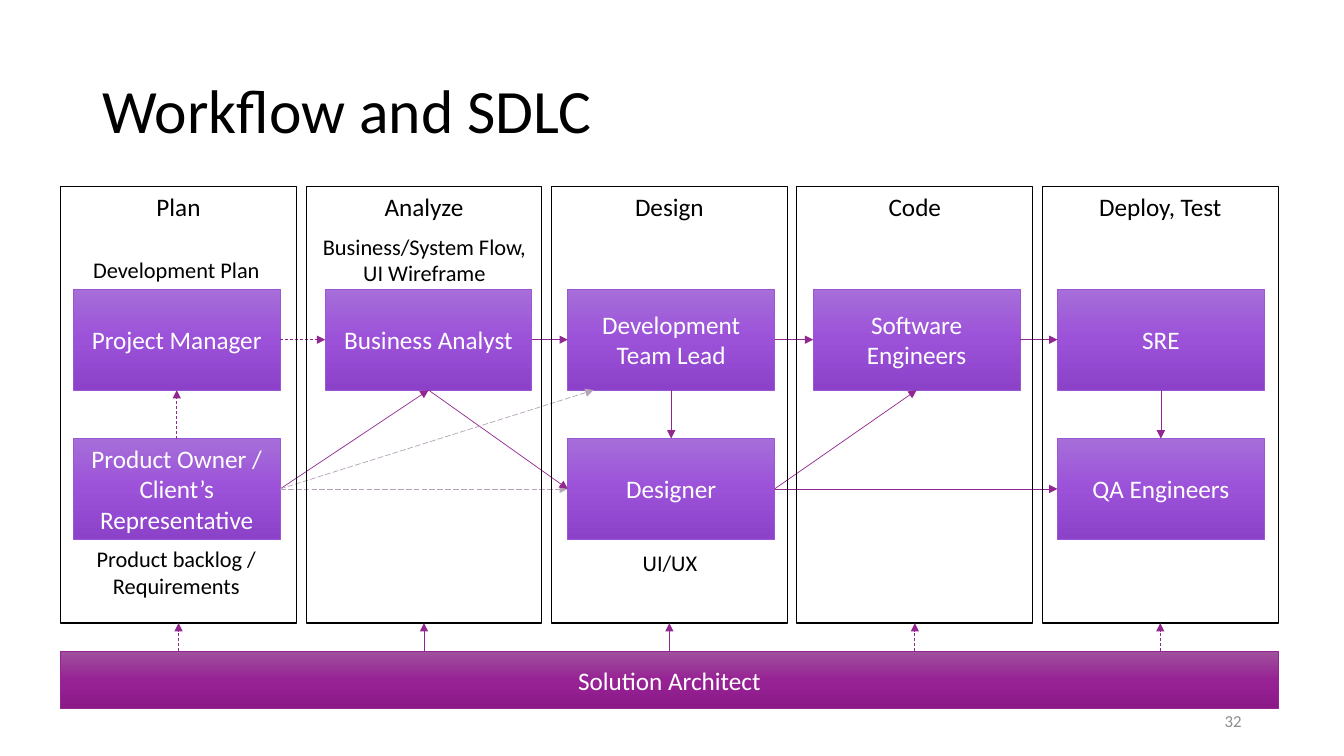
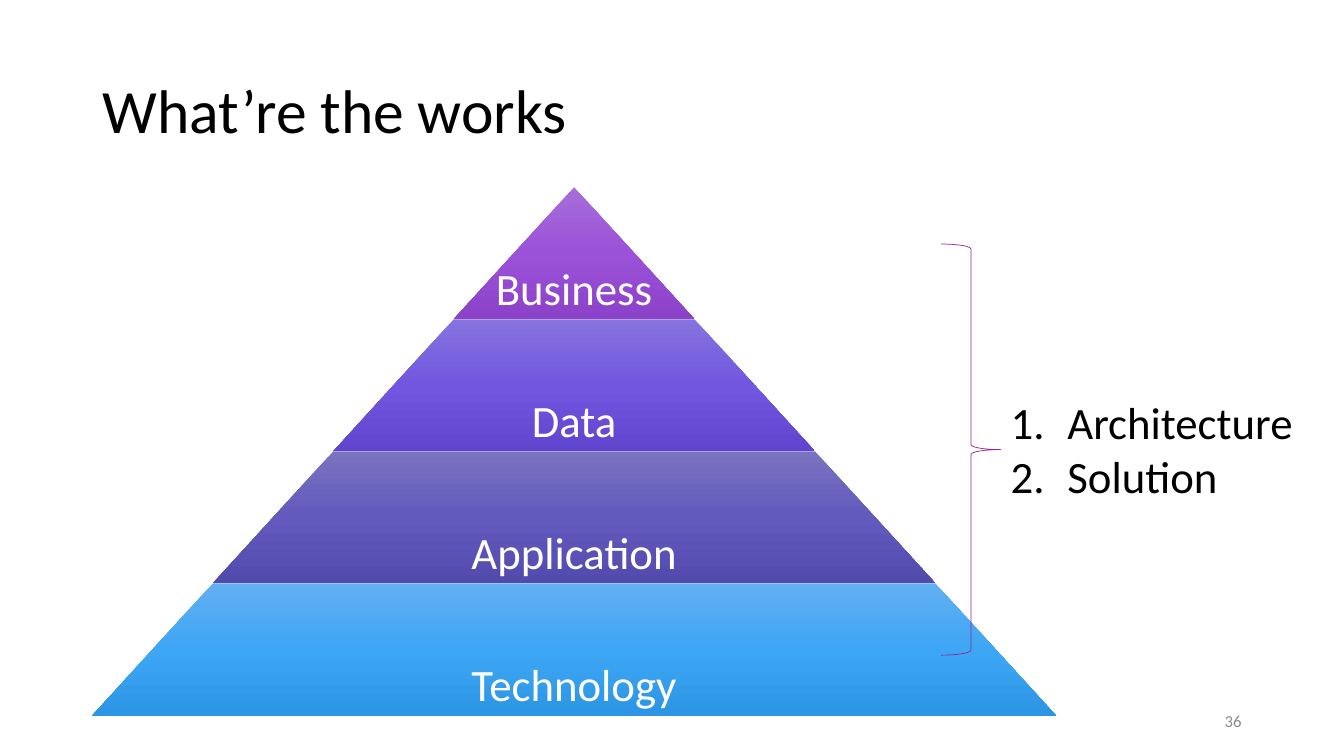
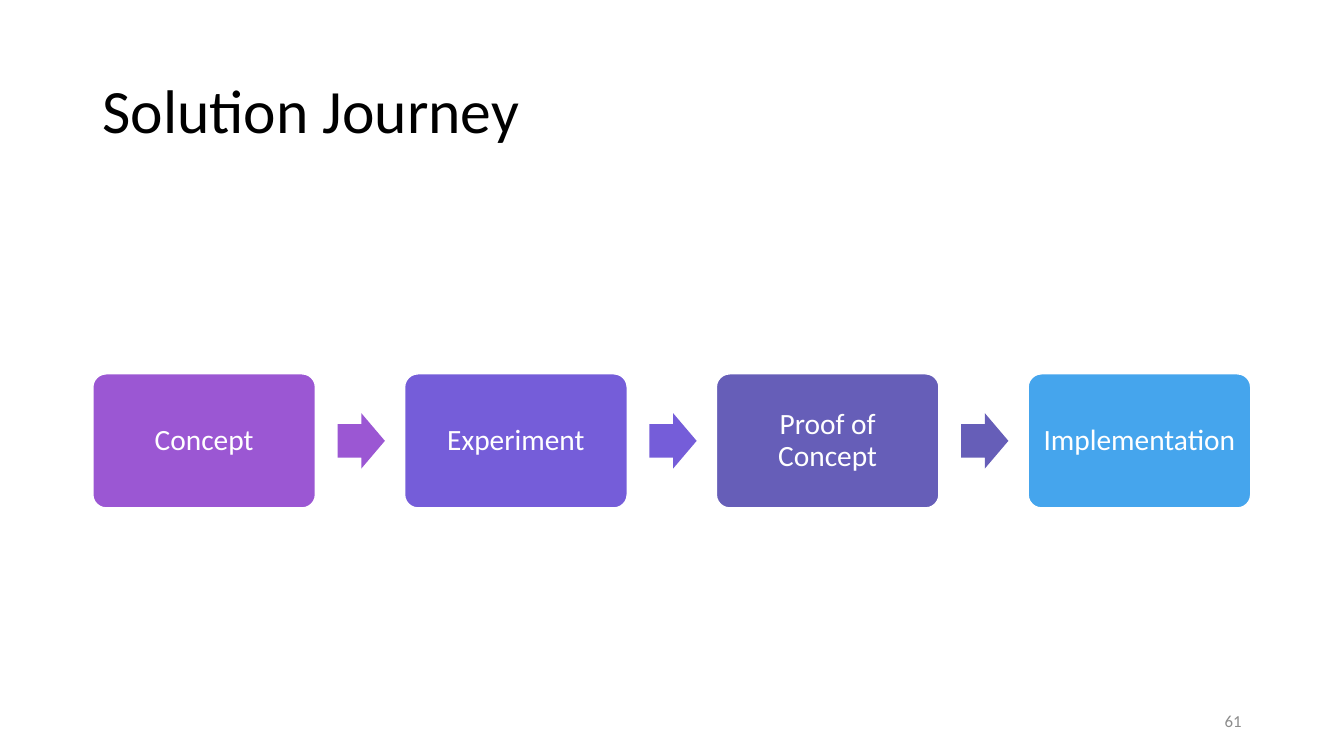
from copy import deepcopy
from dataclasses import dataclass

from lxml.etree import SubElement
from pptx import Presentation
from pptx.dml.color import RGBColor
from pptx.enum.dml import MSO_LINE
from pptx.enum.shapes import MSO_CONNECTOR, MSO_SHAPE
from pptx.enum.text import MSO_ANCHOR, MSO_AUTO_SIZE, PP_ALIGN
from pptx.oxml.ns import qn
from pptx.util import Cm, Pt


@dataclass(frozen=True)
class Theme:
    """Colours, font and type sizes of the deck."""

    font: str = "Calibri"
    black: str = "000000"
    white: str = "FFFFFF"
    grey: str = "8C8C8C"
    plum: str = "92278F"
    mauve: str = "B5A3B9"
    accents: tuple = ("9B57D3", "755DD9", "665EB8", "45A5ED")
    plum_fade: tuple = ("9F519D", "972294", "8B1988")
    fades: tuple = (
        ("A66ED9", "9C51D9", "8B41C8"),
        ("8673DE", "7157DF", "6046CE"),
        ("7973C0", "625ABD", "534AAD"),
        ("62AFF1", "3DA6F5", "2C95E4"),
    )
    title: int = 44
    large: int = 32
    step: int = 21
    body: int = 18
    caption: int = 16
    number: int = 12
    hairline: float = 0.5
    frame: float = 0.75


@dataclass(frozen=True)
class Box:
    """A rectangle in centimetres."""

    x: float
    y: float
    w: float
    h: float

    def inner(self, x, y, w, h):
        """Return a box whose offset is measured from this one."""
        return Box(self.x + x, self.y + y, w, h)

    def emu(self):
        """Return left, top, width and height as lengths."""
        return Cm(self.x), Cm(self.y), Cm(self.w), Cm(self.h)


THEME = Theme()
TOP, LEFT, BOTTOM, RIGHT = range(4)

PHASES = ("Plan", "Analyze", "Design", "Code", "Deploy, Test")
CARD_INSETS = (0.32, 0.48, 0.41, 0.41, 0.38)
ROW_TOPS = (2.59, 6.35)
CARDS = {
    "manager": (0, 0, ["Project Manager"]),
    "owner": (0, 1, ["Product Owner /", "Client’s Representative"]),
    "analyst": (1, 0, ["Business Analyst"]),
    "lead": (2, 0, ["Development", "Team Lead"]),
    "designer": (2, 1, ["Designer"]),
    "engineers": (3, 0, ["Software Engineers"]),
    "sre": (4, 0, ["SRE"]),
    "testers": (4, 1, ["QA Engineers"]),
}
LINKS = (
    ("manager", RIGHT, "analyst", LEFT, THEME.plum, MSO_LINE.DASH),
    ("analyst", RIGHT, "lead", LEFT, THEME.plum, None),
    ("lead", RIGHT, "engineers", LEFT, THEME.plum, None),
    ("engineers", RIGHT, "sre", LEFT, THEME.plum, None),
    ("owner", TOP, "manager", BOTTOM, THEME.plum, MSO_LINE.DASH),
    ("lead", BOTTOM, "designer", TOP, THEME.plum, None),
    ("sre", BOTTOM, "testers", TOP, THEME.plum, None),
    ("owner", RIGHT, "analyst", BOTTOM, THEME.plum, None),
    ("owner", RIGHT, "designer", LEFT, THEME.mauve, MSO_LINE.LONG_DASH),
    ("analyst", BOTTOM, "designer", LEFT, THEME.plum, None),
    ("designer", RIGHT, "engineers", BOTTOM, THEME.plum, None),
    ("designer", RIGHT, "testers", LEFT, THEME.plum, None),
)
CAPTIONS = (
    (0, Box(0.31, 1.63, 5.21, 0.94), ["Development Plan"]),
    (1, Box(0.02, 1.04, 5.92, 1.63), ["Business/System Flow,", "UI Wireframe"]),
    (0, Box(0.31, 8.92, 5.21, 1.63), ["Product backlog /", "Requirements"]),
    (2, Box(2.03, 9.02, 1.91, 0.94), ["UI/UX"]),
)


def colour(code):
    """Turn a hex code into a colour."""
    return RGBColor.from_string(code)


def write(shape, lines, size, ink, align=PP_ALIGN.CENTER, anchor=MSO_ANCHOR.MIDDLE,
          spacing=None, inset=None):
    """Fill a shape with one paragraph per line and return its frame."""
    frame = shape.text_frame
    frame.word_wrap = True
    frame.vertical_anchor = anchor
    if inset is not None:
        frame.margin_left = frame.margin_right = Cm(inset)
        frame.margin_top = frame.margin_bottom = Cm(inset)
    for index, line in enumerate(lines):
        para = frame.add_paragraph() if index else frame.paragraphs[0]
        para.alignment = align
        if spacing:
            para.line_spacing = spacing
        span = para.add_run()
        span.text = line
        span.font.name = THEME.font
        span.font.size = Pt(size)
        span.font.color.rgb = colour(ink)
    return frame


def add_label(page, box, lines, size, ink, **style):
    """Add a text box and return its frame."""
    return write(page.shapes.add_textbox(*box.emu()), lines, size, ink, **style)


def add_block(page, kind, box, fill=None, line=None, width=THEME.hairline, adjust=None):
    """Add a preset shape with a plain, faded or empty fill."""
    block = page.shapes.add_shape(kind, *box.emu())
    block.shadow.inherit = False
    for index, value in enumerate(adjust or ()):
        block.adjustments[index] = value
    if fill is None:
        block.fill.background()
    elif isinstance(fill, str):
        block.fill.solid()
        block.fill.fore_color.rgb = colour(fill)
    else:
        fade(block, fill)
    if line:
        block.line.color.rgb = colour(line)
        block.line.width = Pt(width)
    else:
        block.line.fill.background()
    return block


def fade(block, codes):
    """Fill a shape with a downward gradient of three stops."""
    block.fill.gradient()
    block.fill.gradient_angle = 270
    stops = block.element.spPr.find(qn("a:gradFill")).find(qn("a:gsLst"))
    stops.insert(1, deepcopy(stops[0]))
    for stop, position, code in zip(block.fill.gradient_stops, (0, 0.5, 1), codes):
        stop.position = position
        stop.color.rgb = colour(code)


def add_arrow(page, start=(0, 0), end=(0, 0), ink=THEME.plum, dash=None):
    """Add a thin straight arrow between two points."""
    arrow = page.shapes.add_connector(
        MSO_CONNECTOR.STRAIGHT, *(Cm(length) for length in (*start, *end)))
    arrow.line.color.rgb = colour(ink)
    arrow.line.width = Pt(THEME.hairline)
    if dash:
        arrow.line.dash_style = dash
    properties = arrow.element.spPr
    SubElement(properties.find(qn("a:ln")), qn("a:tailEnd"), type="triangle")
    SubElement(properties, qn("a:effectLst"))
    return arrow


def add_page(deck, title, number):
    """Add a slide with its title and slide number."""
    page = deck.slides.add_slide(deck.slide_layouts[5])
    heading = page.shapes.title
    heading.left, heading.top, heading.width, heading.height = Box(2.33, 1.01, 29.21, 3.68).emu()
    write(heading, [title], THEME.title, THEME.black, align=PP_ALIGN.LEFT, spacing=0.9)
    add_label(page, Box(23.92, 17.66, 7.62, 1.01), [number], THEME.number, THEME.grey,
              align=PP_ALIGN.RIGHT)
    return page


def add_workflow(page, box):
    """Draw the phases, the roles in them and the architect's bar below."""
    phase_w, phase_h, bar_h = 5.94, 11, 1.45
    card_w, card_h = 5.21, 2.54
    pitch = (box.w - phase_w) / (len(PHASES) - 1)
    areas = [box.inner(index * pitch, 0, phase_w, phase_h) for index in range(len(PHASES))]

    bar = box.inner(0, box.h - bar_h, box.w, bar_h)
    architect = add_block(page, MSO_SHAPE.RECTANGLE, bar, THEME.plum_fade, THEME.plum)
    write(architect, ["Solution Architect"], THEME.body, THEME.white)

    cards = {}
    for name, (column, row, lines) in CARDS.items():
        place = areas[column].inner(CARD_INSETS[column], ROW_TOPS[row], card_w, card_h)
        cards[name] = add_block(page, MSO_SHAPE.RECTANGLE, place, THEME.fades[0], THEME.accents[0])
        write(cards[name], lines, THEME.body, THEME.white)

    for source, source_side, target, target_side, ink, dash in LINKS:
        arrow = add_arrow(page, ink=ink, dash=dash)
        arrow.begin_connect(cards[source], source_side)
        arrow.end_connect(cards[target], target_side)
    lead_foot = areas[2].inner(CARD_INSETS[2] + 0.65, ROW_TOPS[0] + card_h, 0, 0)
    hint = add_arrow(page, end=(lead_foot.x, lead_foot.y), ink=THEME.mauve, dash=MSO_LINE.LONG_DASH)
    hint.begin_connect(cards["owner"], RIGHT)

    for column, place, lines in CAPTIONS:
        spot = areas[column].inner(place.x, place.y, place.w, place.h)
        frame = add_label(page, spot, lines, THEME.caption, THEME.black, anchor=MSO_ANCHOR.TOP)
        frame.word_wrap = False

    for index, (area, name) in enumerate(zip(areas, PHASES)):
        phase = add_block(page, MSO_SHAPE.ROUNDED_RECTANGLE, area, line=THEME.black,
                          width=THEME.frame, adjust=[0])
        write(phase, [name], THEME.body, THEME.black, anchor=MSO_ANCHOR.TOP)
        dash = None if index in (1, 2) else MSO_LINE.DASH
        support = add_arrow(page, start=(area.x + area.w / 2, bar.y), dash=dash)
        support.end_connect(phase, BOTTOM)


def add_pyramid(page, box, names):
    """Stack the levels of a pyramid from its tip down."""
    level_h, step = box.h / len(names), box.w / len(names)
    slope = step / 2 / level_h
    for index, (name, codes) in enumerate(zip(names, THEME.fades)):
        level_w = step * (index + 1)
        label_w = max(step, 0.65 * level_w)
        level, label = (box.inner((box.w - width) / 2, index * level_h, width, level_h)
                        for width in (level_w, label_w))
        add_block(page, MSO_SHAPE.TRAPEZOID, level, codes, adjust=[slope])
        add_label(page, label, [name], THEME.large, THEME.white, anchor=MSO_ANCHOR.BOTTOM,
                  spacing=0.9, inset=0.1)


def add_braced_list(page, box, lines):
    """Draw a brace with a numbered list at its point."""
    brace_w, list_h = 1.5, 3
    add_block(page, MSO_SHAPE.RIGHT_BRACE, box.inner(0, 0, brace_w, box.h), line=THEME.plum)
    place = box.inner(brace_w, (box.h - list_h) / 2, box.w - brace_w, list_h)
    frame = add_label(page, place, lines, THEME.large, THEME.black,
                      align=PP_ALIGN.LEFT, anchor=MSO_ANCHOR.TOP)
    frame.word_wrap = False
    frame.auto_size = MSO_AUTO_SIZE.SHAPE_TO_FIT_TEXT
    indent = Cm(1.43)
    for para in frame.paragraphs:
        properties = para._p.get_or_add_pPr()
        properties.set("marL", str(indent))
        properties.set("indent", str(-indent))
        SubElement(properties, qn("a:buFont"), typeface="+mj-lt")
        SubElement(properties, qn("a:buAutoNum"), type="arabicPeriod")


def add_journey(page, box, names):
    """Lay out the steps in a row with an arrow after all but the last."""
    card_w, arrow_w, arrow_h = 5.61, 1.19, 1.4
    pitch = (box.w - card_w) / (len(names) - 1)
    for index, (name, ink) in enumerate(zip(names, THEME.accents)):
        place = box.inner(index * pitch, 0, card_w, box.h)
        card = add_block(page, MSO_SHAPE.ROUNDED_RECTANGLE, place, ink, THEME.white, 1, [0.1])
        write(card, [name], THEME.step, THEME.white, spacing=0.9, inset=0.23)
        if index < len(names) - 1:
            gap = place.inner(card_w + 0.56, (box.h - arrow_h) / 2, arrow_w, arrow_h)
            add_block(page, MSO_SHAPE.RIGHT_ARROW, gap, ink, adjust=[0.6, 0.5])


def main():
    """Build the deck and save it."""
    deck = Presentation()
    deck.slide_width, deck.slide_height = Cm(33.87), Cm(19.05)

    add_workflow(add_page(deck, "Workflow and SDLC", "32"), Box(1.53, 4.7, 30.68, 13.16))

    works = add_page(deck, "What’re the works", "36")
    add_pyramid(works, Box(2.33, 4.72, 24.28, 13.31),
                ("Business", "Data", "Application", "Technology"))
    add_braced_list(works, Box(23.72, 6.15, 9.2, 10.36), ("Architecture", "Solution"))

    add_journey(add_page(deck, "Solution Journey", "61"), Box(2.34, 9.42, 29.18, 3.38),
                ("Concept", "Experiment", "Proof of Concept", "Implementation"))
    deck.save("out.pptx")


if __name__ == "__main__":
    main()
